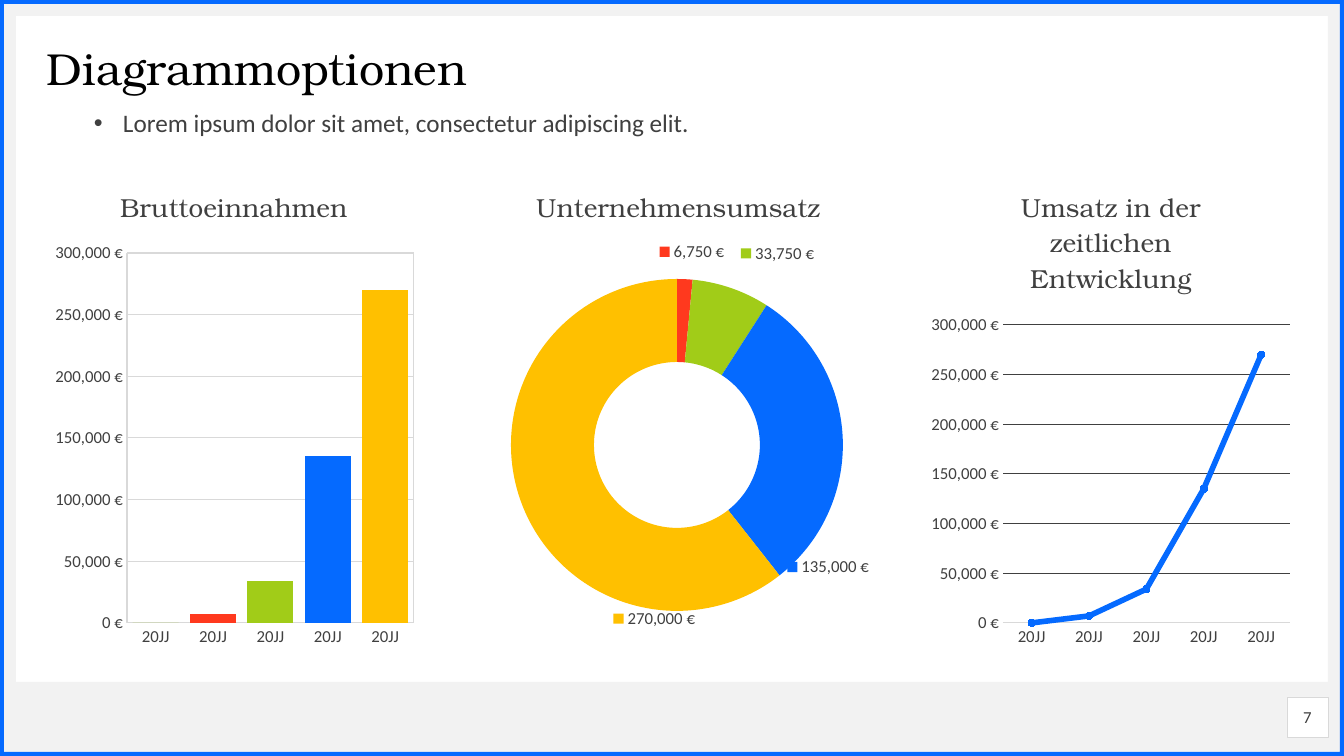
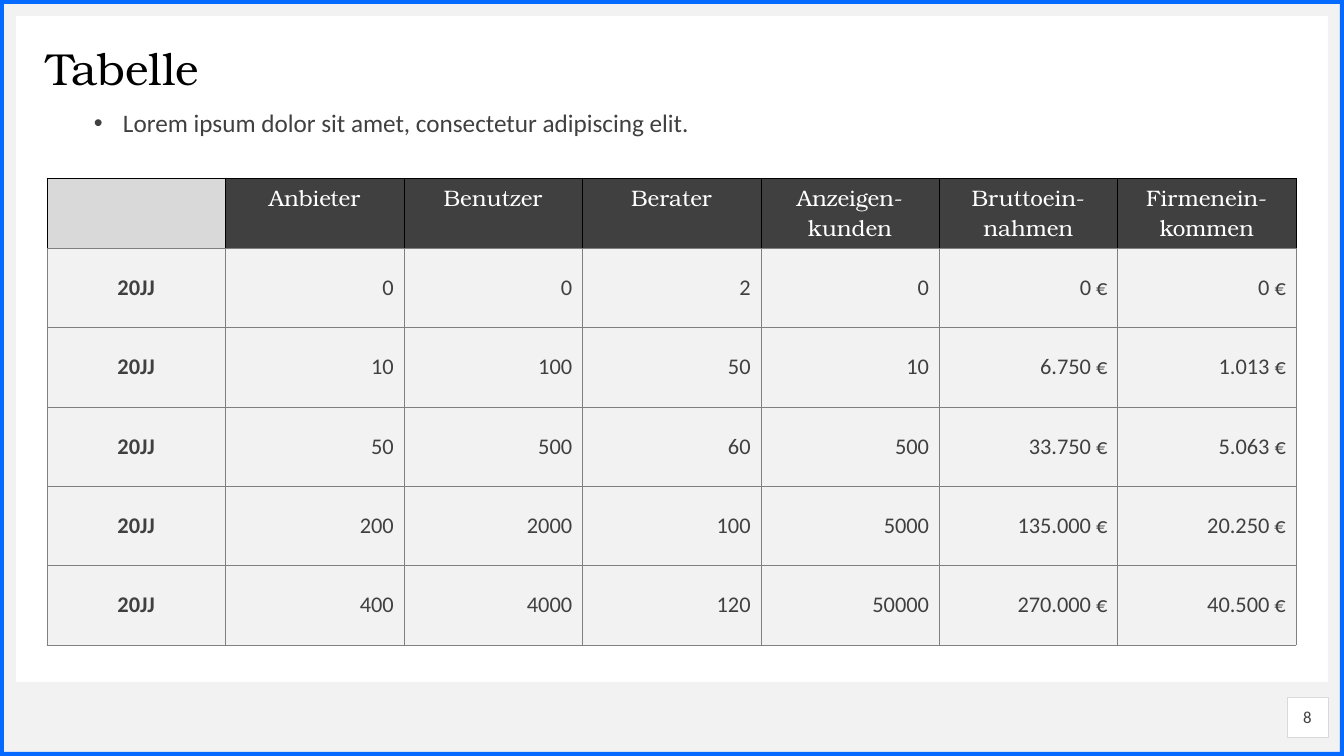
import copy

import pptx
import pptx.chart.data
import pptx.dml.color
import pptx.enum.chart
import pptx.enum.shapes
import pptx.enum.text
import pptx.oxml
import pptx.oxml.ns
import pptx.util

SERIF, SANS = "TeX Gyre Bonum", "Calibri"
BLUE, RED, GREEN, GOLD = "056AFF", "FF391E", "A1CC18", "FFC000"
INK, BLACK, WHITE = "404040", "000000", "FFFFFF"
PALE, SILVER, GRAY = "F2F2F2", "D9D9D9", "808080"
PALETTE = [GREEN, RED, GREEN, BLUE, GOLD]
EURO = '#,##0\\ "€"'
YEARS = ["20JJ"] * 5
REVENUE = [0, 7000, 34000, 135000, 270000]
INTRO = "Lorem ipsum dolor sit amet, consectetur adipiscing elit."
LABEL_SHIFTS = {1: (9, -69), 2: (60, -74), 3: (27, 128), 4: (95, 133)}
TABLE_ROWS = [
    ["", "Anbieter", "Benutzer", "Berater", "Anzeigen-kunden", "Bruttoein-nahmen", "Firmenein-kommen"],
    ["20JJ", "0", "0", "2", "0", "0 €", "0 €"],
    ["20JJ", "10", "100", "50", "10", "6.750 €", "1.013 €"],
    ["20JJ", "50", "500", "60", "500", "33.750 €", "5.063 €"],
    ["20JJ", "200", "2000", "100", "5000", "135.000 €", "20.250 €"],
    ["20JJ", "400", "4000", "120", "50000", "270.000 €", "40.500 €"],
]

ALIGN = pptx.enum.text.PP_ALIGN
ANCHOR = pptx.enum.text.MSO_ANCHOR
SHAPE = pptx.enum.shapes.MSO_SHAPE
CHART = pptx.enum.chart.XL_CHART_TYPE


def px(n):
    """Turn slide pixels into EMU."""
    return pptx.util.Emu(round(n * 12192000 / 1344))


def rgb(value):
    """Turn a hex string into a colour."""
    return pptx.dml.color.RGBColor.from_string(value)


def xml(markup):
    """Build one element from markup that uses the a and c prefixes."""
    head, sep, tail = markup.partition(">")
    slash = "/" if head.endswith("/") else ""
    return pptx.oxml.parse_xml(head.rstrip("/") + " " + pptx.oxml.ns.nsdecls("a", "c") + slash + sep + tail)


def style_font(font, size, name=SANS, color=INK, bold=False):
    """Set every font property the deck uses."""
    font.size, font.name, font.bold = pptx.util.Pt(size), name, bold
    font.color.rgb = rgb(color)


def style_line(line, color, width):
    """Set the colour and width in points of a line."""
    line.color.rgb, line.width = rgb(color), pptx.util.Pt(width)


def clear_margins(tf):
    """Wrap a text frame and clear its insets."""
    tf.word_wrap = True
    tf.margin_left = tf.margin_right = tf.margin_top = tf.margin_bottom = 0


def add_box(s, box, fill, kind=SHAPE.RECTANGLE):
    """Add a filled shape without an outline."""
    sp = s.shapes.add_shape(kind, *map(px, box))
    sp.shadow.inherit = False
    sp.fill.solid()
    sp.fill.fore_color.rgb = rgb(fill)
    sp.line.fill.background()
    return sp


def add_frame(s):
    """Draw the pale bands and the blue border around the slide."""
    for box in [(0, 682, 1344, 74), (0, 0, 1344, 16), (0, 10, 16, 731), (1328, 10, 16, 731)]:
        add_box(s, box, PALE)
    border = add_box(s, (0, 0, 1344, 756), BLUE, SHAPE.FRAME)
    border.adjustments[0] = 4 / 756


def add_page_number(s, box, number):
    """Write the page number in its outlined box."""
    sp = add_box(s, box, WHITE)
    style_line(sp.line, SILVER, 0.25)
    tf = sp.text_frame
    clear_margins(tf)
    tf.vertical_anchor = ANCHOR.MIDDLE
    tf.text = str(number)
    p = tf.paragraphs[0]
    p.alignment = ALIGN.CENTER
    style_font(p.runs[0].font, 12)


def add_title(s, box, text):
    """Place and format the title placeholder."""
    sp = s.shapes.title
    sp.left, sp.top, sp.width, sp.height = map(px, box)
    tf = sp.text_frame
    clear_margins(tf)
    tf.auto_size = pptx.enum.text.MSO_AUTO_SIZE.NONE
    tf.vertical_anchor = ANCHOR.MIDDLE
    tf.text = text
    p = tf.paragraphs[0]
    p.alignment, p.line_spacing = ALIGN.LEFT, 0.9
    style_font(p.runs[0].font, 32, SERIF, BLACK)


def add_bullet(s, box, text):
    """Write the bulleted introduction."""
    tf = s.shapes.add_textbox(*map(px, box)).text_frame
    clear_margins(tf)
    tf.text = text
    p = tf.paragraphs[0]
    p.line_spacing = 0.9
    style_font(p.runs[0].font, 18)
    pPr = p._p.get_or_add_pPr()
    pPr.set("marL", str(px(29)))
    pPr.set("indent", str(px(-29)))
    pPr.append(xml('<a:buFont typeface="Arial"/>'))
    pPr.append(xml('<a:buChar char="•"/>'))


def add_slide(prs, title, number):
    """Start a slide with everything the slides share."""
    s = prs.slides.add_slide(prs.slide_layouts[5])
    add_frame(s)
    add_page_number(s, (1287, 697, 41, 40), number)
    add_title(s, (47, 47, 1250, 47), title)
    add_bullet(s, (94, 111, 1250, 39), INTRO)
    return s


def add_chart(s, kind, box, plot_box, title, cats, values):
    """Add a titled one-series chart; plot_box is relative to box."""
    data = pptx.chart.data.CategoryChartData()
    data.categories = cats
    data.add_series("Series 1", values)
    chart = s.shapes.add_chart(kind, *map(px, box), data).chart
    chart.has_legend = False
    style_font(chart.font, 12)
    chart.has_title = True
    tf = chart.chart_title.text_frame
    tf.text = title
    style_font(tf.paragraphs[0].runs[0].font, 18.6, SERIF)
    area = chart.element.xpath("c:chart/c:plotArea")[0]
    for old in area.xpath("c:layout"):
        area.remove(old)
    x, y, w, h = plot_box
    width, height = box[2:]
    area.insert(0, xml(
        '<c:layout><c:manualLayout><c:layoutTarget val="inner"/>'
        '<c:xMode val="edge"/><c:yMode val="edge"/>'
        f'<c:x val="{x / width:.4f}"/><c:y val="{y / height:.4f}"/>'
        f'<c:w val="{w / width:.4f}"/><c:h val="{h / height:.4f}"/></c:manualLayout></c:layout>'))
    return chart


def style_axes(chart, grid):
    """Format the year axis and the euro axis."""
    for axis in (chart.category_axis, chart.value_axis):
        axis.major_tick_mark = axis.minor_tick_mark = pptx.enum.chart.XL_TICK_MARK.NONE
        style_font(axis.tick_labels.font, 12)
    style_line(chart.category_axis.format.line, SILVER, 0.75)
    axis = chart.value_axis
    axis.format.line.fill.background()
    axis.minimum_scale, axis.maximum_scale, axis.major_unit = 0, 300000, 50000
    axis.has_major_gridlines = True
    style_line(axis.major_gridlines.format.line, grid, 0.75)
    axis.tick_labels.number_format = EURO
    axis.tick_labels.number_format_is_linked = False


def color_points(series):
    """Give each point its palette colour."""
    for i, color in enumerate(PALETTE):
        fill = series.points[i].format.fill
        fill.solid()
        fill.fore_color.rgb = rgb(color)


def add_column_chart(s, box):
    """Add the gross revenue columns."""
    chart = add_chart(s, CHART.COLUMN_CLUSTERED, box, (80, 87, 287, 370), "Bruttoeinnahmen", YEARS, REVENUE)
    style_axes(chart, SILVER)
    plot = chart.plots[0]
    plot.gap_width, plot.vary_by_categories = 25, False
    color_points(plot.series[0])
    chart.element.xpath("c:chart/c:plotArea")[0].append(xml(
        f'<c:spPr><a:noFill/><a:ln w="9525"><a:solidFill><a:srgbClr val="{SILVER}"/></a:solidFill></a:ln></c:spPr>'))


def add_doughnut_chart(s, box):
    """Add the sales ring with its moved labels."""
    chart = add_chart(s, CHART.DOUGHNUT, box, (25, 113, 332, 332), "Unternehmensumsatz",
                      ["1", "2", "3", "4", "5"], [0, 6750, 33750, 135000, 270000])
    series = chart.plots[0].series[0]
    color_points(series)
    labels = series.data_labels
    labels.show_value = labels.show_legend_key = True
    labels.number_format, labels.number_format_is_linked = EURO, False
    style_font(labels.font, 12)
    dLbls = labels._element
    for leader in dLbls.xpath("c:showLeaderLines"):
        leader.set("val", "0")
    shared = [el for el in dLbls if not el.tag.endswith("showLeaderLines")]
    dLbls.insert(0, xml('<c:dLbl><c:idx val="0"/><c:delete val="1"/></c:dLbl>'))
    for i, (dx, dy) in LABEL_SHIFTS.items():
        dLbl = xml(f'<c:dLbl><c:idx val="{i}"/><c:layout><c:manualLayout><c:x val="{dx / box[2]:.4f}"/>'
                   f'<c:y val="{dy / box[3]:.4f}"/></c:manualLayout></c:layout></c:dLbl>')
        dLbl.extend(copy.deepcopy(shared))
        dLbls.insert(i, dLbl)


def add_line_chart(s, box):
    """Add the sales line over time."""
    chart = add_chart(s, CHART.LINE_MARKERS_STACKED, box, (79, 159, 287, 298),
                      "Umsatz in der zeitlichen Entwicklung", YEARS, REVENUE)
    style_axes(chart, INK)
    chart.plots[0].vary_by_categories = False
    series = chart.plots[0].series[0]
    series.smooth = False
    style_line(series.format.line, BLUE, 4)
    marker = series.marker
    marker.style, marker.size = pptx.enum.chart.XL_MARKER_STYLE.CIRCLE, 5
    marker.format.fill.solid()
    marker.format.fill.fore_color.rgb = rgb(BLUE)
    style_line(marker.format.line, BLUE, 0.75)


def style_cell(cell, text, fill, align, anchor, borders):
    """Fill, border and write one cell; borders run left, right, top, bottom."""
    tcPr = cell._tc.get_or_add_tcPr()
    for side, color in zip("LRTB", borders):
        tcPr.append(xml(f'<a:ln{side} w="3175"><a:solidFill><a:srgbClr val="{color}"/></a:solidFill></a:ln{side}>'))
    cell.fill.solid()
    cell.fill.fore_color.rgb = rgb(fill)
    cell.vertical_anchor = anchor
    cell.text = text
    cell.text_frame.paragraphs[0].alignment = align


def add_figures_table(s, box, header_height):
    """Add the yearly figures with a dark header row."""
    rows, cols = len(TABLE_ROWS), len(TABLE_ROWS[0])
    table = s.shapes.add_table(rows, cols, *map(px, box)).table
    table.horz_banding = False
    for column in table.columns:
        column.width = px(box[2] / cols)
    for r, texts in enumerate(TABLE_ROWS):
        table.rows[r].height = px(header_height if r == 0 else (box[3] - header_height) / (rows - 1))
        for c, text in enumerate(texts):
            cell = table.cell(r, c)
            if r == 0:
                style_cell(cell, text, INK if c else SILVER, ALIGN.CENTER, ANCHOR.TOP, [BLACK] * 3 + [GRAY])
            else:
                style_cell(cell, text, PALE, ALIGN.RIGHT if c else ALIGN.CENTER, ANCHOR.MIDDLE, [GRAY] * 4)
            for run in cell.text_frame.paragraphs[0].runs:
                if r == 0:
                    style_font(run.font, 16, SERIF, WHITE)
                else:
                    style_font(run.font, 16, bold=c == 0)


def main():
    """Build and save the deck."""
    prs = pptx.Presentation()
    prs.slide_width, prs.slide_height = px(1344), px(756)
    s = add_slide(prs, "Diagrammoptionen", 7)
    add_column_chart(s, (47, 166, 374, 490))
    add_doughnut_chart(s, (486, 166, 385, 490))
    add_line_chart(s, (924, 166, 374, 490))
    s = add_slide(prs, "Tabelle", 8)
    add_figures_table(s, (47, 178, 1249, 467), 70)
    prs.save("out.pptx")


if __name__ == "__main__":
    main()
